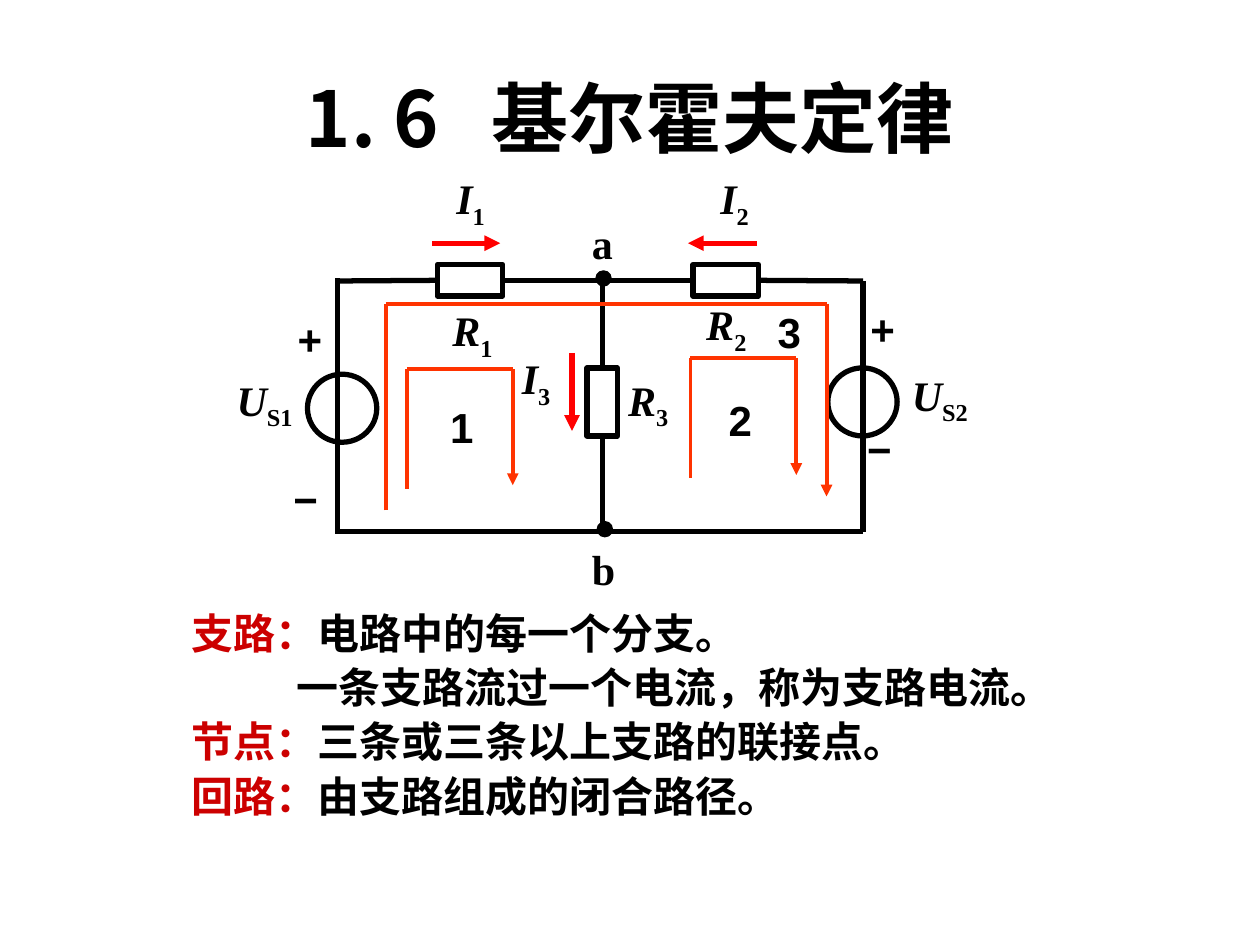
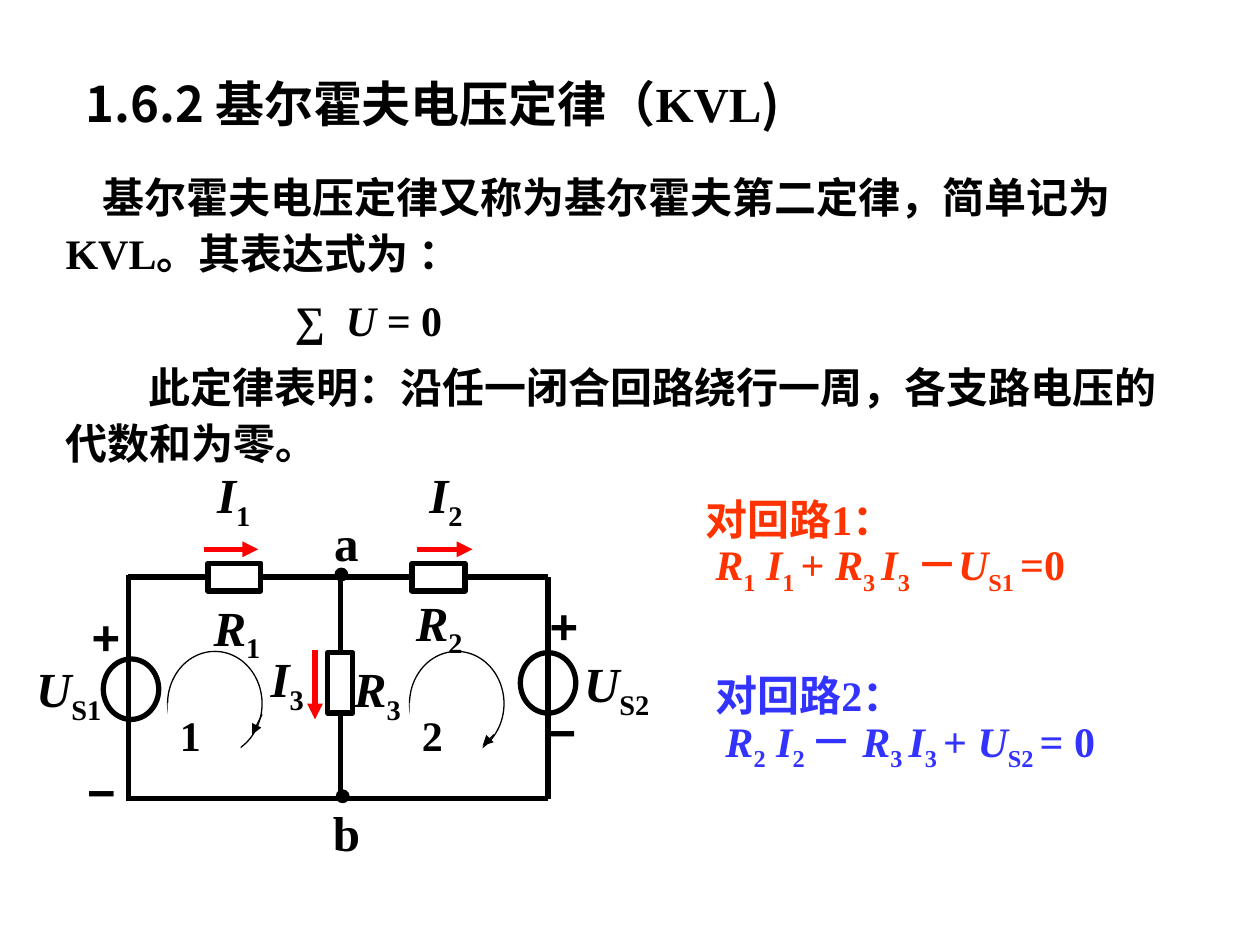
from lxml.etree import SubElement
from pptx import Presentation
from pptx.dml.color import RGBColor
from pptx.enum.shapes import MSO_CONNECTOR, MSO_SHAPE
from pptx.enum.text import MSO_ANCHOR, MSO_AUTO_SIZE, PP_ALIGN
from pptx.oxml.ns import qn
from pptx.util import Inches, Pt


class Theme:
    black = RGBColor(0, 0, 0)
    white = RGBColor(255, 255, 255)
    term = RGBColor(204, 0, 0)
    current = RGBColor(255, 0, 0)
    loop = RGBColor(255, 51, 0)
    second_loop = RGBColor(51, 51, 255)
    cjk = "Noto Sans CJK SC"
    serif = "Times New Roman"
    sans = "Arial"
    title = 44
    heading = 28
    body = 24
    wire = 3
    loop_line = 2.25
    thin = 0.75


def write(para, markup, size, color=Theme.black, font=Theme.serif):
    # Marks: / italic, _ subscript, ! term colour, @ serif, % sans, ~ stretched
    for piece in markup.split("|"):
        mark = piece[0] if piece[0] in "/_!@%~" else ""
        span = para.add_run()
        span.text = piece[len(mark):]
        span.font.size = Pt(size)
        span.font.bold = True
        span.font.italic = mark == "/"
        span.font.color.rgb = Theme.term if mark == "!" else color
        span.font.name = {"@": Theme.serif, "/": Theme.serif, "%": Theme.sans}.get(mark, font)
        properties = span._r.get_or_add_rPr()
        SubElement(properties, qn("a:ea")).set("typeface", Theme.cjk)
        if mark == "_":
            properties.set("baseline", "-25000")
        if mark == "~":
            properties.set("spc", "2000")


def draw_line(page, start, end, color=Theme.black, width=Theme.wire, arrow=False):
    line = page.shapes.add_connector(
        MSO_CONNECTOR.STRAIGHT, *[Inches(value) for value in (*start, *end)])
    line.line.color.rgb = color
    line.line.width = Pt(width)
    if arrow:
        SubElement(line.line._get_or_add_ln(), qn("a:tailEnd")).set("type", "triangle")
    SubElement(line._element.spPr, qn("a:effectLst"))
    return line


deck = Presentation()
deck.slide_width = Inches(10)
deck.slide_height = Inches(7.5)

lessons = [
    {
        "title": "1. 6|~ |基尔霍夫定律",
        "title_area": (0.5, 0.3, 9, 1.25),
        "title_size": Theme.title,
        "title_align": PP_ALIGN.CENTER,
        "title_anchor": MSO_ANCHOR.MIDDLE,
        "body_area": (1.42, 4.74, 7.3, 1.85),
        "body_font": Theme.sans,
        "line_pitch": 31,
        "gap": 0,
        "paragraphs": [
            ("!支路：|电路中的每一个分支。", 0),
            ("一条支路流过一个电流，称为支路电流。", 0.83),
            ("!节点：|三条或三条以上支路的联接点。", 0),
            ("!回路：|由支路组成的闭合路径。", 0),
        ],
        "frame": (2.68, 2.23, 6.85, 4.22),
        "middle": 4.78,
        "resistors": [(3.47, 2.1, 0.52, 0.25), (5.5, 2.1, 0.52, 0.25), (4.66, 2.92, 0.24, 0.54)],
        "sources": [(2.44, 2.97, 0.55, 0.54), (6.57, 2.92, 0.55, 0.54)],
        "node_size": 0.12,
        "currents": [((3.43, 1.93), (3.97, 1.93)), ((6.01, 1.93), (5.46, 1.93)),
                     ((4.54, 2.8), (4.54, 3.42))],
        "label_size": 24,
        "labels": [
            ("a", 4.58, 1.73, 0.4), ("b", 4.59, 4.31, 0.4),
            ("/I|_1", 3.4, 1.37, 0.67), ("/I|_2", 5.53, 1.37, 0.6), ("/I|_3", 3.98, 2.8, 0.55),
            ("/R|_1", 3.3, 2.42, 0.9), ("/R|_2", 5.4, 2.37, 0.73), ("/R|_3", 4.98, 2.97, 0.33),
            ("/U|_S1", 1.64, 2.97, 0.92), ("/U|_S2", 6.98, 2.93, 0.96),
            ("%+", 2.26, 2.49, 0.4), ("%−", 2.29, 3.76, 0.27),
            ("%+", 6.76, 2.41, 0.49), ("%−", 6.78, 3.36, 0.4),
            ("%1", 3.48, 3.19, 0.37), ("%2", 5.69, 3.13, 0.37), ("%3", 6.08, 2.43, 0.37),
        ],
    },
    {
        "title": "1.6.2 基尔霍夫电压定律（|@KVL|)",
        "title_area": (0.58, 0.53, 9, 0.67),
        "title_size": Theme.heading,
        "title_align": PP_ALIGN.LEFT,
        "title_anchor": MSO_ANCHOR.TOP,
        "body_area": (0.42, 1.27, 8.92, 2.5),
        "body_font": Theme.cjk,
        "line_pitch": 32,
        "gap": 6,
        "paragraphs": [
            ("基尔霍夫电压定律又称为基尔霍夫第二定律，简单记为|@KVL。其表达式为 |：", 0.29),
            ("@∑ |/ U = |@0", 1.82),
            ("此定律表明：沿任一闭合回路绕行一周，各支路电压的代数和为零。", 0.66),
        ],
        "frame": (1.02, 4.58, 4.35, 6.34),
        "middle": 2.7,
        "resistors": [(1.65, 4.47, 0.42, 0.22), (3.27, 4.47, 0.42, 0.22), (2.6, 5.18, 0.2, 0.48)],
        "sources": [(0.82, 5.23, 0.44, 0.48), (4.13, 5.18, 0.44, 0.48)],
        "node_size": 0.1,
        "currents": [((1.62, 4.36), (2.05, 4.36)), ((3.31, 4.36), (3.75, 4.36)),
                     ((2.5, 5.16), (2.5, 5.71))],
        "label_size": 28,
        "labels": [
            ("a", 2.55, 4.07, 0.4), ("b", 2.55, 6.37, 0.4),
            ("/I|_1", 1.59, 3.69, 0.53), ("/I|_2", 3.3, 3.69, 0.48), ("/I|_3", 2.06, 5.15, 0.44),
            ("/R|_1", 1.52, 4.74, 0.72), ("/R|_2", 3.19, 4.7, 0.59), ("/R|_3", 2.8, 5.23, 0.39),
            ("/U|_S1", 0.17, 5.23, 0.75), ("/U|_S2", 4.58, 5.19, 0.63),
            ("%+", 0.68, 4.81, 0.32), ("%−", 0.65, 6.04, 0.31),
            ("%+", 4.28, 4.73, 0.39), ("%−", 4.3, 5.57, 0.32),
        ],
    },
]

pages = []
for lesson in lessons:
    page = deck.slides.add_slide(deck.slide_layouts[1])
    pages.append(page)
    title, body = page.shapes.title, page.placeholders[1]
    for box, area in ((title, lesson["title_area"]), (body, lesson["body_area"])):
        box.left, box.top, box.width, box.height = [Inches(value) for value in area]
        box.text_frame.auto_size = MSO_AUTO_SIZE.NONE
    title.text_frame.vertical_anchor = lesson["title_anchor"]
    heading = title.text_frame.paragraphs[0]
    heading.alignment = lesson["title_align"]
    write(heading, lesson["title"], lesson["title_size"], font=Theme.cjk)

    for index, (markup, indent) in enumerate(lesson["paragraphs"]):
        para = body.text_frame.add_paragraph() if index else body.text_frame.paragraphs[0]
        properties = para._p.get_or_add_pPr()
        properties.set("marL", "0")
        properties.set("indent", str(Inches(indent)))
        SubElement(properties, qn("a:buNone"))
        para.line_spacing = Pt(lesson["line_pitch"])
        para.space_before = Pt(lesson["gap"] if index else 0)
        write(para, markup, Theme.body, font=lesson["body_font"])

    parts = [(MSO_SHAPE.RECTANGLE, area) for area in lesson["resistors"]]
    parts += [(MSO_SHAPE.OVAL, area) for area in lesson["sources"]]
    outlines = []
    for kind, area in parts:
        outline = page.shapes.add_shape(kind, *[Inches(value) for value in area])
        outline.shadow.inherit = False
        outline.fill.background()
        outline.line.color.rgb = Theme.black
        outline.line.width = Pt(Theme.wire)
        outlines.append(outline)
    first, second, third = outlines[:3]

    left, top, right, bottom = lesson["frame"]
    middle = lesson["middle"]
    draw_line(page, (left, top - 0.02), (left, bottom + 0.02))
    draw_line(page, (left, bottom), (right, bottom))
    draw_line(page, (right, top), (right, bottom))
    draw_line(page, (left, top), (middle, top)).end_connect(first, 1)
    between = draw_line(page, (left, top), (right, top))
    between.begin_connect(first, 3)
    between.end_connect(second, 1)
    draw_line(page, (middle, top), (right, top)).begin_connect(second, 3)
    draw_line(page, (middle, top), (middle, bottom)).end_connect(third, 0)
    draw_line(page, (middle, top), (middle, bottom)).begin_connect(third, 2)

    size = lesson["node_size"]
    for x, y in ((middle + 0.01, top - 0.02), (middle + 0.02, bottom - 0.02)):
        node = page.shapes.add_shape(
            MSO_SHAPE.OVAL, Inches(x - size / 2), Inches(y - size / 2), Inches(size), Inches(size))
        node.shadow.inherit = False
        node.fill.solid()
        node.fill.fore_color.rgb = Theme.black
        node.line.color.rgb = Theme.black

    for start, end in lesson["currents"]:
        draw_line(page, start, end, Theme.current, arrow=True)

    for markup, x, y, width in lesson["labels"]:
        label = page.shapes.add_textbox(
            Inches(x), Inches(y), Inches(width), Inches(lesson["label_size"] / 60))
        frame = label.text_frame
        frame.margin_left = frame.margin_right = frame.margin_top = frame.margin_bottom = 0
        frame.word_wrap = False
        frame.paragraphs[0].alignment = PP_ALIGN.CENTER
        write(frame.paragraphs[0], markup, lesson["label_size"])

overview, voltage_law = pages

for left, top, right, tail, tip in (
        (3.23, 2.93, 4.07, 3.88, 3.85),
        (5.48, 2.84, 6.32, 3.79, 3.77),
        (3.06, 2.41, 6.56, 4.05, 3.94)):
    draw_line(overview, (left, tail), (left, top), Theme.loop, Theme.loop_line)
    draw_line(overview, (left, top), (right, top), Theme.loop, Theme.loop_line)
    draw_line(overview, (right, top), (right, tip), Theme.loop, Theme.loop_line, arrow=True)

for number, left, start, end in (
        ("1", 1.33, (2.08, 5.67), (2, 5.83)),
        ("2", 3.25, (3.92, 5.83), (3.83, 5.92))):
    ring = voltage_law.shapes.add_shape(
        MSO_SHAPE.OVAL, Inches(left), Inches(5.17), Inches(0.75), Inches(0.83))
    ring.shadow.inherit = False
    ring.fill.background()
    ring.line.color.rgb = Theme.black
    ring.line.width = Pt(Theme.thin)
    tag = voltage_law.shapes.add_shape(
        MSO_SHAPE.RECTANGLE, Inches(left), Inches(5.58), Inches(0.58), Inches(0.5))
    tag.shadow.inherit = False
    tag.fill.solid()
    tag.fill.fore_color.rgb = Theme.white
    tag.line.fill.background()
    tag.text_frame.vertical_anchor = MSO_ANCHOR.TOP
    tag.text_frame.paragraphs[0].alignment = PP_ALIGN.LEFT
    write(tag.text_frame.paragraphs[0], number, Theme.body)
    draw_line(voltage_law, start, end, width=Theme.thin, arrow=True)

for left, top, width, color, heading, equation in (
        (5.5, 3.85, 3.1, Theme.loop, "对回路1：",
         "/R|_1|/ I|_1 |+ |/R|_3 |/I|_3 |－|/U|_S1 |=0"),
        (5.58, 5.25, 4.3, Theme.second_loop, "对回路2：",
         "/R|_2|/ I|_2 |－ |/R|_3 |/I|_3 |+ |/U|_S2 |= 0")):
    box = voltage_law.shapes.add_textbox(Inches(left), Inches(top), Inches(width), Inches(0.9))
    box.text_frame.word_wrap = True
    caption, formula = box.text_frame.paragraphs[0], box.text_frame.add_paragraph()
    formula._p.get_or_add_pPr().set("indent", str(Inches(0.08)))
    for para, markup in ((caption, heading), (formula, equation)):
        para.line_spacing = Pt(30)
        write(para, markup, Theme.body, color)

deck.save("out.pptx")
